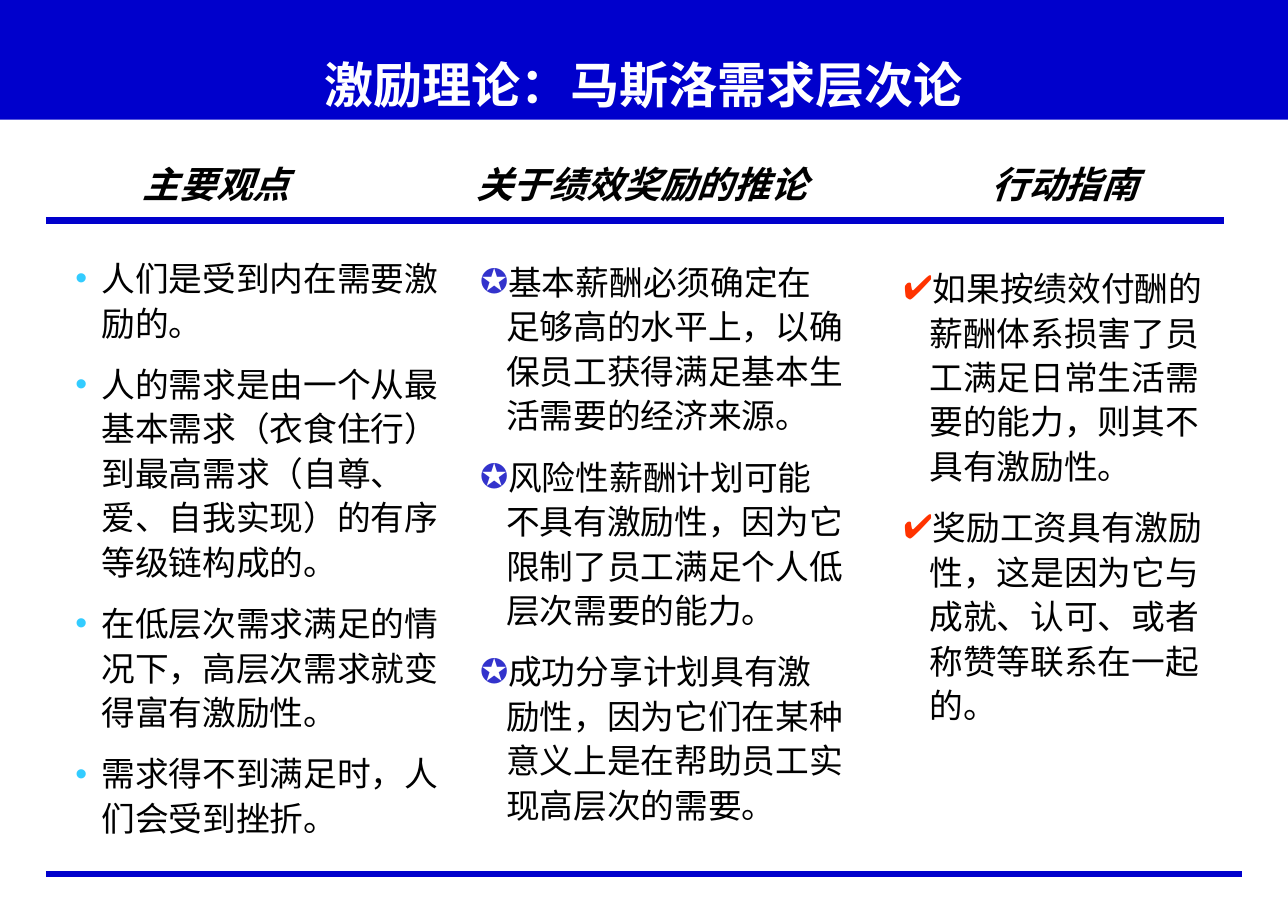
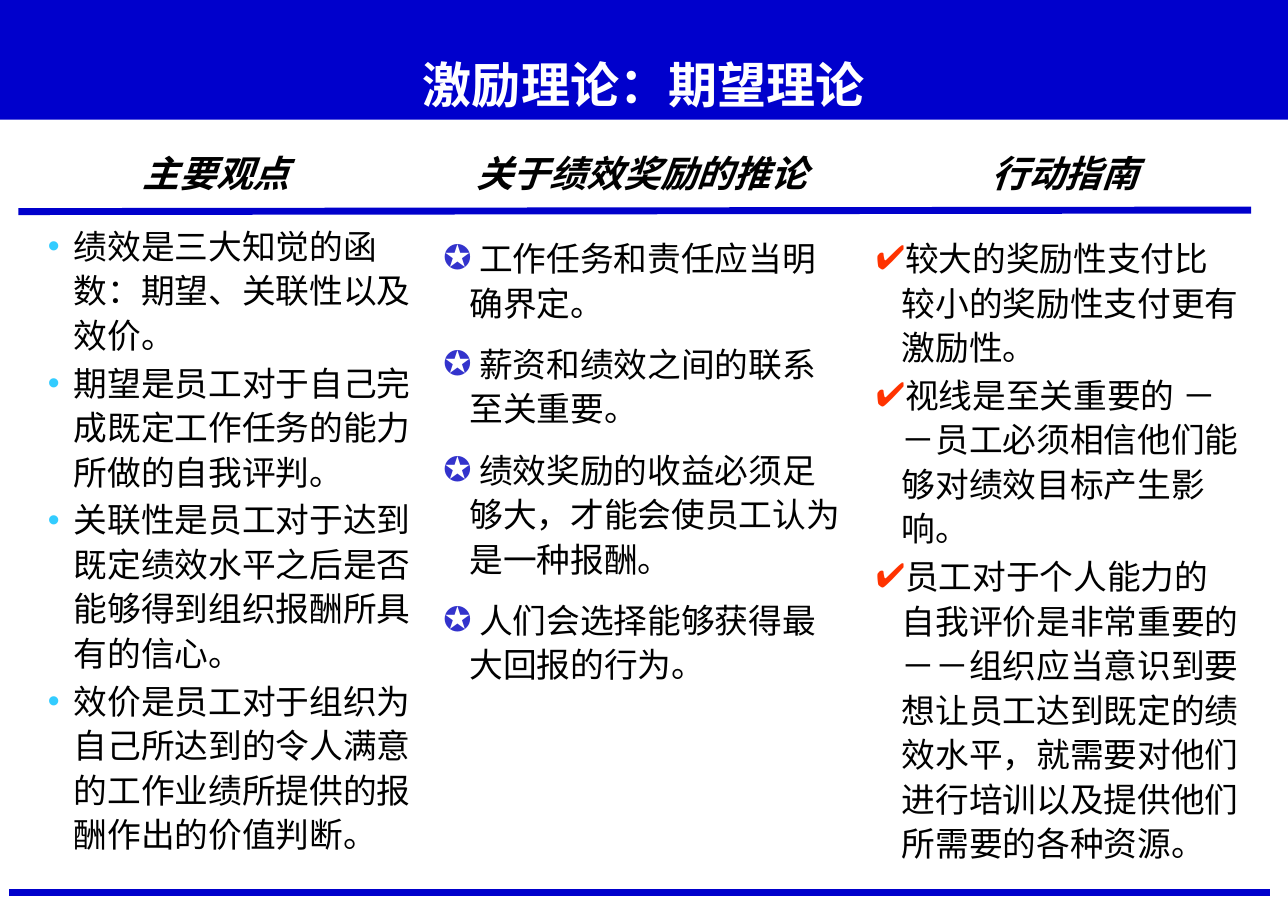
"""Build two slides that compare motivation theories in three columns."""
import pptx
import pptx.dml.color
import pptx.enum.shapes
import pptx.enum.text
import pptx.oxml
import pptx.oxml.ns
import pptx.util

Pt = pptx.util.Pt
RGBColor = pptx.dml.color.RGBColor
Align = pptx.enum.text.PP_ALIGN
Anchor = pptx.enum.text.MSO_ANCHOR

BLUE = RGBColor(0x00, 0x00, 0xCC)
WHITE = RGBColor(0xFF, 0xFF, 0xFF)
BLACK = RGBColor(0x00, 0x00, 0x00)
CYAN = RGBColor(0x33, 0xCC, 0xFF)
INDIGO = RGBColor(0x33, 0x33, 0xCC)
RED = RGBColor(0xFF, 0x33, 0x00)

LATIN = "Times New Roman"
CHINESE = "Noto Sans CJK SC"
WIDTH, HEIGHT = 840, 600
BULLETS = (("•", CYAN), ("✪", INDIGO), ("✔", RED))
HEADINGS = (("主要观点", 30, 222), ("关于绩效奖励的推论", 294, 249), ("行动指南", 570, 249))

SLIDES = (
    {
        "title": "激励理论：马斯洛需求层次论",
        "heading_top": 102,
        "rules": ((30, 144, 798, 144), (30, 570, 810, 570)),
        "columns": (
            ((42, 162, 252, 395), 11, (
                "人们是受到内在需要激励的。",
                "人的需求是由一个从最基本需求（衣食住行）到最高需求（自尊、爱、自我实现）的有序等级链构成的。",
                "在低层次需求满足的情况下，高层次需求就变得富有激励性。",
                "需求得不到满足时，人们会受到挫折。",
            )),
            ((306, 164.5, 252, 382), 11, (
                "基本薪酬必须确定在足够高的水平上，以确保员工获得满足基本生活需要的经济来源。",
                "风险性薪酬计划可能不具有激励性，因为它限制了员工满足个人低层次需要的能力。",
                "成功分享计划具有激励性，因为它们在某种意义上是在帮助员工实现高层次的需要。",
            )),
            ((582, 168.5, 228, 282), 11, (
                "如果按绩效付酬的薪酬体系损害了员工满足日常生活需要的能力，则其不具有激励性。",
                "奖励工资具有激励性，这是因为它与成就、认可、或者称赞等联系在一起的。",
            )),
        ),
    },
    {
        "title": "激励理论：期望理论",
        "heading_top": 95,
        "rules": ((12, 138, 816, 137), (6, 582, 828, 582)),
        "columns": (
            ((24, 141, 252, 421), 2.2, (
                "绩效是三大知觉的函数：期望、关联性以及效价。",
                "期望是员工对于自己完成既定工作任务的能力所做的自我评判。",
                "关联性是员工对于达到既定绩效水平之后是否能够得到组织报酬所具有的信心。",
                "效价是员工对于组织为自己所达到的令人满意的工作业绩所提供的报酬作出的价值判断。",
            )),
            ((282, 149, 276, 308), 11, (
                " 工作任务和责任应当明确界定。",
                " 薪资和绩效之间的联系至关重要。",
                " 绩效奖励的收益必须足够大，才能会使员工认为是一种报酬。",
                " 人们会选择能够获得最大回报的行为。",
            )),
            ((564, 149, 252, 418), 2.2, (
                "较大的奖励性支付比较小的奖励性支付更有激励性。",
                "视线是至关重要的 －－员工必须相信他们能够对绩效目标产生影响。",
                "员工对于个人能力的自我评价是非常重要的－－组织应当意识到要想让员工达到既定的绩效水平，"
                "就需要对他们进行培训以及提供他们所需要的各种资源。",
            )),
        ),
    },
)


class Deck:
    """Hold the shared style and the slide being built."""

    def __init__(self):
        self.presentation = pptx.Presentation()
        self.presentation.slide_width = Pt(WIDTH)
        self.presentation.slide_height = Pt(HEIGHT)

    def start_slide(self):
        """Add a slide and keep its title and three list placeholders."""
        layout = self.presentation.slide_layouts.get_by_name("Comparison")
        self.slide = self.presentation.slides.add_slide(layout)
        unused, *self.lists = list(self.slide.placeholders)[1:]
        unused.element.getparent().remove(unused.element)

    def place(self, shape, box, anchor=Anchor.TOP):
        """Move a text shape and return its text frame."""
        shape.left, shape.top, shape.width, shape.height = map(Pt, box)
        frame = shape.text_frame
        frame.word_wrap = True
        frame.auto_size = pptx.enum.text.MSO_AUTO_SIZE.NONE
        frame.vertical_anchor = anchor
        return frame

    def style(self, paragraph, size, color, line, align, latin=LATIN, bold=False, italic=False):
        """Set the spacing and the font of a paragraph."""
        paragraph.alignment = align
        paragraph.line_spacing = Pt(line)
        paragraph.space_before = Pt(0)
        font = paragraph.font
        font.size, font.bold, font.italic = Pt(size), bold, italic
        font.color.rgb = color
        font.name = latin
        properties = paragraph._p.pPr.find(pptx.oxml.ns.qn("a:defRPr"))
        self.append(properties, f'<a:ea {{}} typeface="{CHINESE}"/>')

    def append(self, parent, markup):
        """Append an element, given with {} in place of its namespace."""
        parent.append(pptx.oxml.parse_xml(markup.format(pptx.oxml.ns.nsdecls("a"))))

    def title(self, text):
        """Fill the title band."""
        shape = self.slide.shapes.title
        shape.fill.solid()
        shape.fill.fore_color.rgb = BLUE
        frame = self.place(shape, (0, 0, WIDTH, 78), Anchor.BOTTOM)
        frame.margin_bottom = Pt(4)
        frame.text = text
        self.style(frame.paragraphs[0], 32, WHITE, 40, Align.CENTER, CHINESE, bold=True)

    def heading(self, text, left, top, width):
        """Add a column heading."""
        box = (left, top, width, 36)
        frame = self.place(self.slide.shapes.add_textbox(*map(Pt, box)), box)
        frame.text = text
        self.style(frame.paragraphs[0], 24, BLACK, 28.5, Align.CENTER, bold=True, italic=True)

    def bullet_list(self, shape, box, gap, items, symbol, color):
        """Fill a placeholder with a bulleted list."""
        frame = self.place(shape, box)
        for index, item in enumerate(items):
            paragraph = frame.add_paragraph() if index else frame.paragraphs[0]
            paragraph.text = item
            properties = paragraph._p.get_or_add_pPr()
            properties.set("marL", str(Pt(17)))
            properties.set("indent", str(Pt(-17)))
            properties.set("hangingPunct", "0")
            self.append(properties, f'<a:buClr {{}}><a:srgbClr val="{color}"/></a:buClr>')
            self.append(properties, f'<a:buChar {{}} char="{symbol}"/>')
            self.style(paragraph, 22, BLACK, 29, Align.LEFT)
            if index:
                paragraph.space_before = Pt(gap)

    def rule(self, *ends):
        """Draw a thick blue line."""
        straight = pptx.enum.shapes.MSO_CONNECTOR.STRAIGHT
        line = self.slide.shapes.add_connector(straight, *map(Pt, ends))
        line.line.color.rgb = BLUE
        line.line.width = Pt(4.5)
        self.append(line.element.spPr, "<a:effectLst {}/>")


def main():
    """Build and save the presentation."""
    deck = Deck()
    for content in SLIDES:
        deck.start_slide()
        deck.title(content["title"])
        for text, left, width in HEADINGS:
            deck.heading(text, left, content["heading_top"], width)
        for shape, column, bullet in zip(deck.lists, content["columns"], BULLETS):
            deck.bullet_list(shape, *column, *bullet)
        for ends in content["rules"]:
            deck.rule(*ends)
    deck.presentation.save("out.pptx")


if __name__ == "__main__":
    main()
